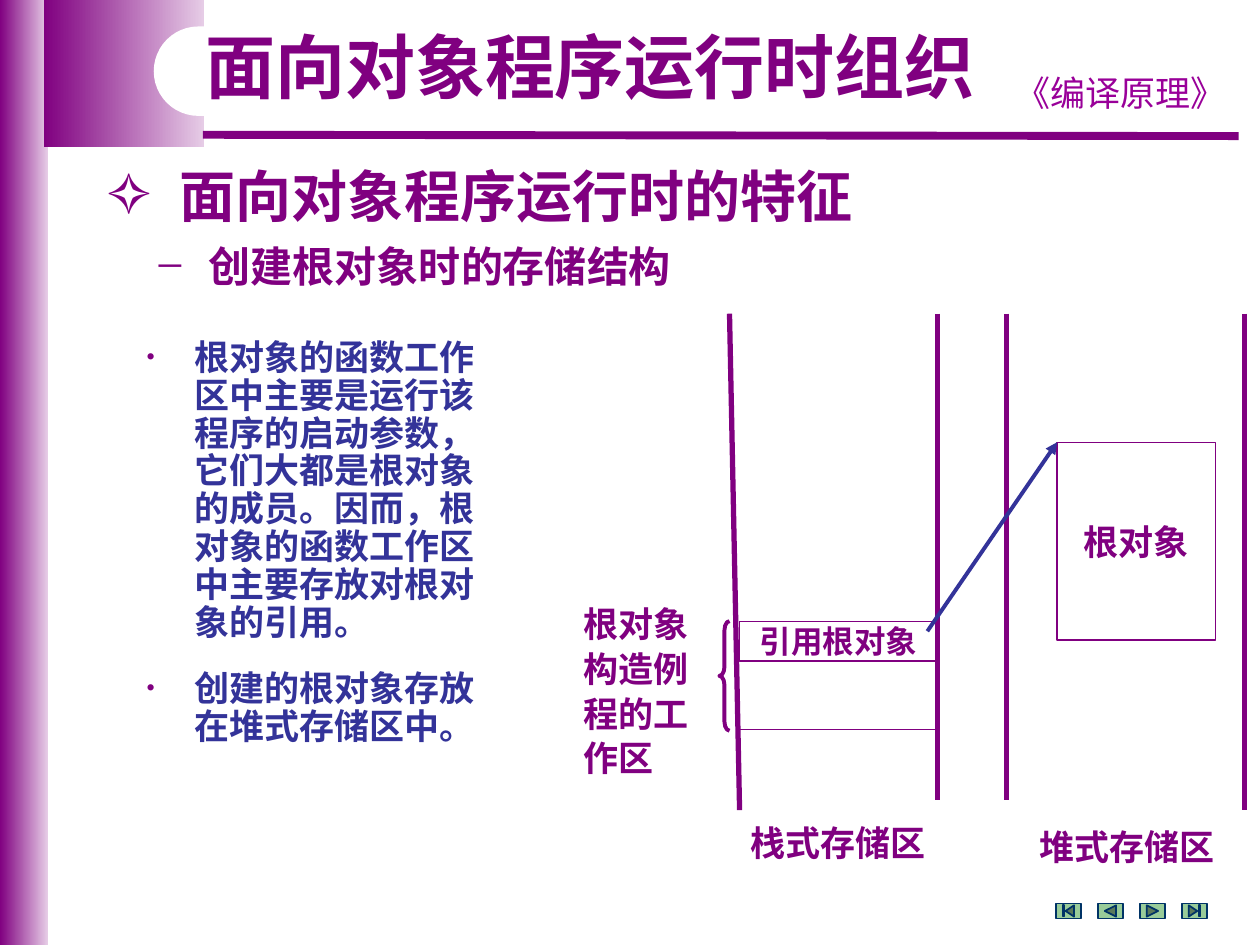
from dataclasses import dataclass

from lxml.etree import SubElement
from pptx import Presentation
from pptx.dml.color import RGBColor
from pptx.enum.shapes import MSO_CONNECTOR, MSO_SHAPE as Preset
from pptx.enum.text import MSO_ANCHOR as Anchor, MSO_AUTO_SIZE as AutoSize, PP_ALIGN as Align
from pptx.oxml.ns import qn
from pptx.util import Inches, Pt


@dataclass(frozen=True)
class Theme:
    purple: str = "800080"
    pale: str = "E6CCE6"
    magenta: str = "990099"
    blue: str = "333399"
    white: str = "FFFFFF"
    button: str = "99CC99"
    button_edge: str = "003366"
    title: int = 40
    heading: int = 32
    subheading: int = 24
    body: int = 20
    small: int = 18
    latin: str = "Arial"
    serif: str = "Times New Roman"
    comic: str = "Comic Neue"
    chinese: str = "Noto Sans CJK SC"


THEME = Theme()


def color(value):
    return RGBColor.from_string(value)


def add_run(paragraph, text, size, font=THEME.latin, fill=THEME.purple, bold=True):
    run = paragraph.add_run()
    run.text = text
    run.font.name, run.font.size, run.font.bold = font, Pt(size), bold
    run.font.color.rgb = color(fill)
    SubElement(run.font._element, qn("a:ea"), typeface=THEME.chinese)


def set_bullet(paragraph, character, indent, percent=100):
    properties = paragraph._p.get_or_add_pPr()
    properties.set("marL", str(Inches(indent)))
    properties.set("indent", str(-Inches(indent)))
    bullet_color = SubElement(properties, qn("a:buClr"))
    SubElement(bullet_color, qn("a:srgbClr"), val=THEME.purple)
    SubElement(properties, qn("a:buSzPct"), val=str(percent * 1000))
    SubElement(properties, qn("a:buFont"), typeface=THEME.serif)
    SubElement(properties, qn("a:buChar"), char=character)


def place(shape, left, top, width, height):
    shape.left, shape.top = Inches(left), Inches(top)
    shape.width, shape.height = Inches(width), Inches(height)


def prepare_frame(shape):
    frame = shape.text_frame
    frame.word_wrap = True
    frame.auto_size = AutoSize.NONE
    frame.vertical_anchor = Anchor.TOP
    return frame


def write_lines(frame, lines, gap=4, bullet=None, spacing=0.9, **style):
    """Write one paragraph per line, with the gap only between them."""
    for index, line in enumerate(lines):
        paragraph = frame.add_paragraph() if index else frame.paragraphs[0]
        if bullet:
            set_bullet(paragraph, *bullet)
        paragraph.alignment = Align.LEFT
        paragraph.line_spacing = spacing
        paragraph.space_before = Pt(gap if index else 0)
        add_run(paragraph, line, **style)


def add_text(slide, box, lines, **options):
    shape = slide.shapes.add_textbox(*map(Inches, box))
    write_lines(prepare_frame(shape), lines, **options)
    return shape


def add_box(slide, preset, box, fill=None, line=None, weight=0.75):
    shape = slide.shapes.add_shape(preset, *map(Inches, box))
    shape.shadow.inherit = False
    if fill:
        shape.fill.solid()
        shape.fill.fore_color.rgb = color(fill)
    else:
        shape.fill.background()
    if line:
        shape.line.color.rgb = color(line)
        shape.line.width = Pt(weight)
    else:
        shape.line.fill.background()
    return shape


def add_gradient(slide, box):
    shape = add_box(slide, Preset.RECTANGLE, box)
    shape.fill.gradient()
    shape.fill.gradient_angle = 0
    for stop, value in zip(shape.fill.gradient_stops, (THEME.purple, THEME.pale)):
        stop.color.rgb = color(value)


def add_labelled_box(slide, box, text, size, font):
    shape = add_box(slide, Preset.RECTANGLE, box, line=THEME.purple)
    frame = shape.text_frame
    frame.word_wrap = False
    frame.vertical_anchor = Anchor.MIDDLE
    frame.paragraphs[0].alignment = Align.CENTER
    add_run(frame.paragraphs[0], text, size, font)


def add_line(slide, start, end, weight, fill=THEME.purple, arrow=False):
    line = slide.shapes.add_connector(MSO_CONNECTOR.STRAIGHT, *map(Inches, start + end))
    line.line.color.rgb = color(fill)
    line.line.width = Pt(weight)
    if arrow:
        SubElement(line.line._get_or_add_ln(), qn("a:tailEnd"), type="triangle")
    SubElement(line._element.spPr, qn("a:effectLst"))


def add_decoration(slide):
    add_gradient(slide, (0, 0, 0.38, 7.5))
    add_gradient(slide, (0.35, 0, 1.27, 1.17))
    add_line(slide, (1.61, 1.07), (9.83, 1.08), 4.5)
    course = add_text(slide, (7.91, 0.52, 1.97, 0.43), ["《编译原理》"], spacing=1,
                      size=THEME.body, font=THEME.comic, fill=THEME.magenta, bold=False)
    course.text_frame.paragraphs[0].alignment = Align.CENTER
    notch = add_box(slide, Preset.ROUNDED_RECTANGLE, (1.22, 0.21, 3.62, 0.71), THEME.white)
    notch.adjustments[0] = 0.5


def add_text_content(slide):
    title, body = slide.placeholders
    # Bring the placeholders in front of the decoration
    for placeholder in (title, body):
        slide.shapes._spTree.append(placeholder._element)
    place(title, 1.53, 0.21, 6.35, 0.7)
    write_lines(prepare_frame(title), ["面向对象程序运行时组织"], size=THEME.title)

    add_text(slide, (0.75, 1.23, 7.01, 0.63), ["面向对象程序运行时的特征"],
             bullet=("✧", 0.58), spacing=1, size=THEME.heading)
    add_text(slide, (1.14, 1.86, 7.01, 0.57), ["创建根对象时的存储结构"],
             bullet=("−", 0.42, 117), spacing=1, size=THEME.subheading)

    place(body, 1.06, 2.65, 2.84, 4.02)
    points = [
        "根对象的函数工作区中主要是运行该程序的启动参数，它们大都是根对象的成员。"
        "因而，根对象的函数工作区中主要存放对根对象的引用。",
        "创建的根对象存放在堆式存储区中。",
    ]
    write_lines(prepare_frame(body), points, gap=16.5, bullet=("•", 0.38, 75),
                size=THEME.body, font=THEME.chinese, fill=THEME.blue)


def add_storage_diagram(slide):
    # Walls of the stack and the heap
    for top_x, bottom_x, bottom in ((5.79, 5.87, 6.43), (7.44, 7.44, 6.35),
                                    (7.99, 7.99, 6.35), (9.88, 9.88, 6.43)):
        add_line(slide, (top_x, 2.49), (bottom_x, bottom), 3)
    add_text(slide, (5.86, 6.51, 1.81, 0.44), ["栈式存储区"], size=THEME.body)
    add_text(slide, (8.15, 6.54, 1.65, 0.44), ["堆式存储区"], size=THEME.body)

    # Work area of the root constructor
    add_labelled_box(slide, (5.87, 4.93, 1.57, 0.32), "引用根对象", THEME.small, THEME.serif)
    add_box(slide, Preset.RECTANGLE, (5.86, 5.24, 1.58, 0.55), line=THEME.purple)
    brace = add_box(slide, Preset.LEFT_BRACE, (5.71, 4.93, 0.08, 0.87),
                    line=THEME.purple, weight=2.25)
    brace.adjustments[0] = 0.9
    add_text(slide, (4.53, 4.77, 1.26, 1.42), ["根对象", "构造例", "程的工", "作区"],
             size=THEME.body)

    # Root object and the reference to it
    add_labelled_box(slide, (8.39, 3.51, 1.26, 1.57), "根对象", THEME.body, THEME.chinese)
    add_line(slide, (7.36, 5.01), (8.39, 3.51), 2.25, THEME.blue, arrow=True)


def add_navigation(slide):
    buttons = (Preset.ACTION_BUTTON_BEGINNING, Preset.ACTION_BUTTON_BACK_OR_PREVIOUS,
               Preset.ACTION_BUTTON_FORWARD_OR_NEXT, Preset.ACTION_BUTTON_END)
    for index, preset in enumerate(buttons):
        add_box(slide, preset, (8.38 + index / 3, 7.17, 0.2, 0.12),
                THEME.button, THEME.button_edge, 1)


def main():
    presentation = Presentation()
    presentation.slide_width, presentation.slide_height = Inches(10), Inches(7.5)
    slide = presentation.slides.add_slide(presentation.slide_layouts[1])
    add_decoration(slide)
    add_text_content(slide)
    add_storage_diagram(slide)
    add_navigation(slide)
    presentation.save("out.pptx")


if __name__ == "__main__":
    main()
